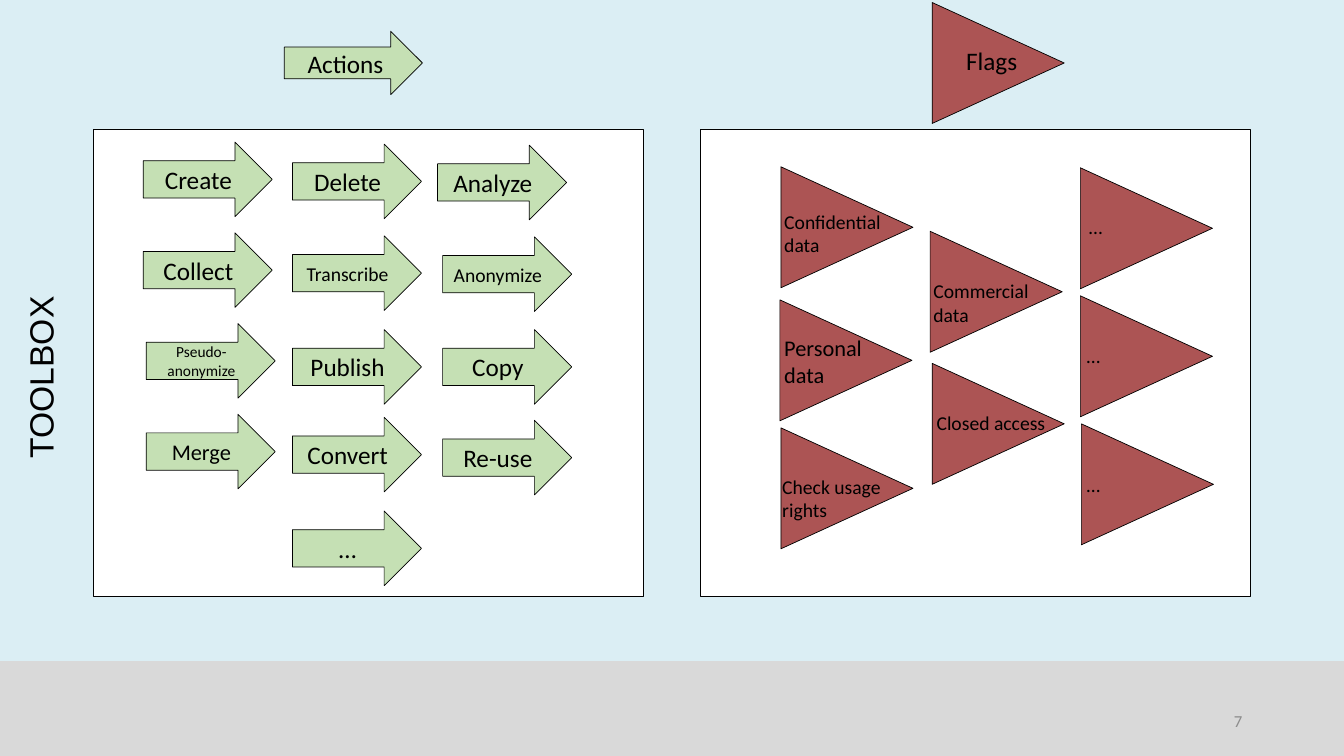
"""Build the toolbox slide of action arrows and flag triangles."""
import dataclasses

import pptx
import pptx.dml.color
import pptx.enum.shapes
import pptx.enum.text
import pptx.oxml.ns
import pptx.util

Inches = pptx.util.Inches
SHAPE = pptx.enum.shapes.MSO_SHAPE
ALIGN = pptx.enum.text.PP_ALIGN
ANCHOR = pptx.enum.text.MSO_ANCHOR
AUTO = pptx.enum.text.MSO_AUTO_SIZE


@dataclasses.dataclass(frozen=True)
class Theme:
    """Colours, fonts and type sizes of the slide."""
    background: str = "DBEEF4"
    footer: str = "D9D9D9"
    panel: str = "FFFFFF"
    action: str = "C5E0B4"
    flag: str = "AC5454"
    ink: str = "000000"
    muted: str = "8C8C8C"
    title_font: str = "Arial"
    body_font: str = "Calibri"
    title: int = 24
    large: int = 18
    medium: int = 16
    small: int = 14
    number: int = 12
    tiny: int = 11
    outline: float = 0.5


THEME = Theme()
ARROW_SIZE = (1.28, 0.74)
FLAG_SIZE = (1.2, 1.31)

ACTIONS = [
    ("Create", 1.42, 1.41, THEME.large),
    ("Delete", 2.9, 1.43, THEME.large),
    ("Analyze", 4.34, 1.44, THEME.large),
    ("Collect", 1.42, 2.31, THEME.large),
    ("Transcribe", 2.9, 2.34, THEME.small),
    ("Anonymize", 4.39, 2.35, THEME.small),
    ("Pseudo-anonymize", 1.45, 3.21, THEME.tiny),
    ("Publish", 2.9, 3.27, THEME.large),
    ("Copy", 4.39, 3.27, THEME.large),
    ("Merge", 1.45, 4.11, THEME.medium),
    ("Convert", 2.9, 4.14, THEME.large),
    ("Re-use", 4.39, 4.17, THEME.large),
    ("…", 2.9, 5.07, THEME.large),
]

FLAGS = [
    ("Confidential data", (7.8, 1.6), (7.68, 2.03, 1.37, 0.57), THEME.small),
    ("Personal data", (7.79, 2.92), (7.68, 3.27, 1.37, 0.64), THEME.medium),
    ("Check usage rights", (7.8, 4.19), (7.66, 4.66, 1.37, 0.57), THEME.small),
    ("Commercial\ndata", (9.28, 2.24), (9.16, 2.72, 1.37, 0.57), THEME.small),
    ("Closed access", (9.3, 3.55), (9.19, 4.03, 1.42, 0.34), THEME.small),
    ("…", (10.77, 1.61), (10.7, 2.08, 1.42, 0.34), THEME.small),
    ("…", (10.77, 2.88), (10.68, 3.36, 1.42, 0.34), THEME.small),
    ("…", (10.78, 4.15), (10.68, 4.64, 1.42, 0.34), THEME.small),
]


def rgb(value):
    """Return the colour for a hex string."""
    return pptx.dml.color.RGBColor.from_string(value)


def write(tf, text, size, align=ALIGN.LEFT, color=THEME.ink, font=THEME.body_font):
    """Fill a text frame and format its paragraphs alike."""
    tf.text = text
    tf.word_wrap = True
    for p in tf.paragraphs:
        p.alignment = align
        p.font.name = font
        p.font.size = pptx.util.Pt(size)
        p.font.color.rgb = rgb(color)


def add_box(s, kind, box, fill, outlined=True):
    """Add a flat preset shape."""
    sp = s.shapes.add_shape(kind, *map(Inches, box))
    sp.shadow.inherit = False
    sp.fill.solid()
    sp.fill.fore_color.rgb = rgb(fill)
    if outlined:
        sp.line.color.rgb = rgb(THEME.ink)
        sp.line.width = pptx.util.Pt(THEME.outline)
    else:
        sp.line.fill.background()
    return sp


def add_label(s, box, text, size, **style):
    """Add a wrapping text box."""
    sp = s.shapes.add_textbox(*map(Inches, box))
    write(sp.text_frame, text, size, **style)
    return sp


def add_action(s, text, box, size):
    """Add an arrow with a centred name."""
    sp = add_box(s, SHAPE.RIGHT_ARROW, box, THEME.action)
    write(sp.text_frame, text, size, ALIGN.CENTER)
    sp.text_frame.vertical_anchor = ANCHOR.MIDDLE


def add_flag(s, text, corner, label_box, size, align=ALIGN.LEFT):
    """Add a triangle pointing right with its label."""
    sp = add_box(s, SHAPE.ISOSCELES_TRIANGLE, corner + FLAG_SIZE, THEME.flag)
    sp.rotation = 90
    label = add_label(s, label_box, text, size, align=align)
    label.text_frame.auto_size = AUTO.SHAPE_TO_FIT_TEXT


def set_title(s, text):
    """Turn the title to run up the left edge."""
    sp = s.shapes.title
    sp.left, sp.top, sp.width, sp.height = map(Inches, (-1.81, 3.53, 4.5, 0.43))
    sp.rotation = 270
    tf = sp.text_frame
    write(tf, text, THEME.title, ALIGN.CENTER, font=THEME.title_font)
    tf.auto_size = AUTO.NONE
    tf.vertical_anchor = ANCHOR.TOP
    tf.paragraphs[0].line_spacing = 0.8


def main():
    """Build and save the slide."""
    prs = pptx.Presentation()
    prs.slide_width, prs.slide_height = Inches(13.33), Inches(7.5)
    s = prs.slides.add_slide(prs.slide_layouts[5])
    s.background.fill.solid()
    s.background.fill.fore_color.rgb = rgb(THEME.background)

    add_box(s, SHAPE.RECTANGLE, (0, 6.56, 13.33, 0.94), THEME.footer, outlined=False)
    for left in (0.93, 6.95):
        add_box(s, SHAPE.RECTANGLE, (left, 1.28, 5.45, 4.64), THEME.panel)
    set_title(s, "TOOLBOX")

    add_action(s, "Actions", (2.82, 0.31, 1.37, 0.63), THEME.large)
    for text, left, top, size in ACTIONS:
        add_action(s, text, (left, top) + ARROW_SIZE, size)

    add_flag(s, "Flags", (9.3, -0.03), (9.15, 0.4, 1.37, 0.4), THEME.large, ALIGN.CENTER)
    for flag in FLAGS:
        add_flag(s, *flag)

    number = add_label(s, (9.42, 6.95, 3, 0.4), "7", THEME.number,
                       align=ALIGN.RIGHT, color=THEME.muted)
    number.text_frame.vertical_anchor = ANCHOR.MIDDLE
    prs.save("out.pptx")


main()
